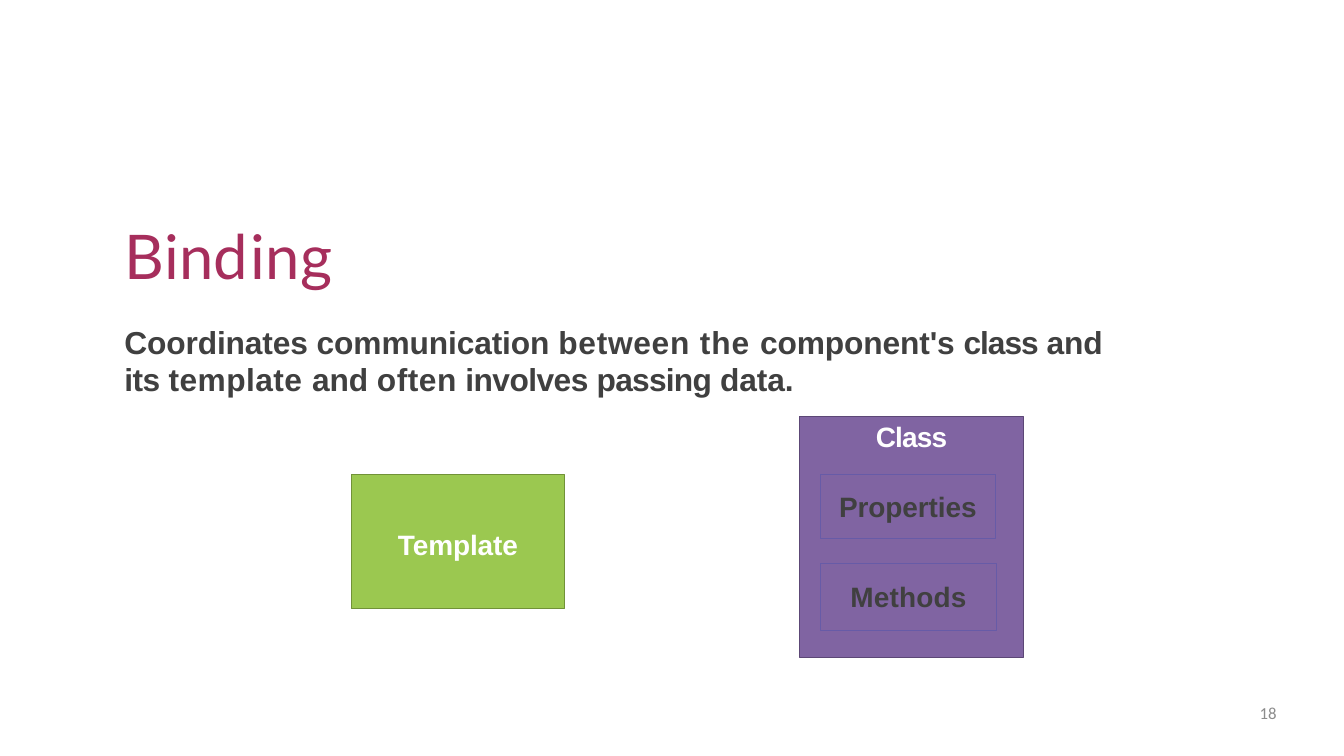
from dataclasses import dataclass

from lxml import etree
from pptx import Presentation
from pptx.dml.color import RGBColor
from pptx.enum.shapes import MSO_SHAPE
from pptx.enum.text import MSO_ANCHOR, MSO_AUTO_SIZE, PP_ALIGN
from pptx.oxml.ns import qn
from pptx.util import Inches, Pt

RECTANGLE = MSO_SHAPE.RECTANGLE
TOP, MIDDLE = MSO_ANCHOR.TOP, MSO_ANCHOR.MIDDLE
LEFT, CENTER, RIGHT = PP_ALIGN.LEFT, PP_ALIGN.CENTER, PP_ALIGN.RIGHT
NO_AUTOFIT = MSO_AUTO_SIZE.NONE


@dataclass(frozen=True)
class Theme:
    """Hold the colours and text styles of the slide."""

    green: str = "9BC850"
    green_edge: str = "719238"
    purple: str = "8064A2"
    purple_edge: str = "5C4776"
    member_edge: str = "675BA7"
    title: tuple = ("Lato", 66, "A62E5C", False)
    body: tuple = ("Arial", 34, "404040", True)
    label: tuple = ("Arial", 30, "FFFFFF", True)
    member: tuple = ("Arial", 30, "404040", True)
    number: tuple = ("Calibri", 18, "8C8C8C", False)


THEME = Theme()

TITLE_RUNS = [("B", -1.4), ("in", 0.2), ("d", 2.5), ("in", 0.2), ("g", 1.8)]
BODY_RUNS = [
    ("Coordinates communication ", -0.1), ("between ", 0.8), ("the ", 1),
    ("component's ", -0.1), ("class ", -1.1), ("and ", -0.1), ("its ", -0.5),
    ("template ", 0.5), ("and ", -0.1), ("often", 0.6), (" involves ", -0.6),
    ("passing ", -0.8), ("data.", -0.1),
]


def apply_format(target, values):
    """Set each attribute named in a dict of format values."""
    for name, value in values.items():
        setattr(target, name, value)


def place(shape, left, top, width, height):
    """Move and size a shape, in inches."""
    lengths = {"left": left, "top": top, "width": width, "height": height}
    apply_format(shape, {name: Inches(length) for name, length in lengths.items()})


def write_text(shape, runs, style, align=LEFT, anchor=TOP, top_inset=0):
    """Fill a shape with one paragraph of letter-spaced runs and return it."""
    frame = shape.text_frame
    apply_format(frame, {
        "word_wrap": True, "auto_size": NO_AUTOFIT, "vertical_anchor": anchor,
        "margin_left": 0, "margin_right": 0, "margin_bottom": 0,
        "margin_top": Inches(top_inset),
    })
    paragraph = frame.paragraphs[0]
    apply_format(paragraph, {"alignment": align, "space_before": Pt(0)})
    font_name, size, color, bold = style
    for text, spacing in runs:
        run = paragraph.add_run()
        run.text = text
        apply_format(run.font, {"name": font_name, "size": Pt(size), "bold": bold})
        run.font.color.rgb = RGBColor.from_string(color)
        run._r.get_or_add_rPr().set("spc", str(round(spacing * 100)))
    return paragraph


def add_title(slide):
    """Write the slide title in its placeholder."""
    title = slide.shapes.title
    place(title, 1.85, 3.24, 10, 1.13)
    write_text(title, TITLE_RUNS, THEME.title, top_inset=0.01)


def add_body(slide):
    """Write the definition in the body placeholder, without a bullet."""
    body = slide.placeholders[1]
    place(body, 1.85, 4.77, 15, 1.15)
    paragraph = write_text(body, BODY_RUNS, THEME.body, top_inset=0.04)
    paragraph.line_spacing = Pt(40.1)
    properties = paragraph._p.get_or_add_pPr()
    properties.set("marL", "0")
    properties.set("indent", "0")
    etree.SubElement(properties, qn("a:buNone"))


def add_box(slide, position, label, style, edge, edge_width, fill=None,
            anchor=MIDDLE, top_inset=0):
    """Add an outlined box with a centred label."""
    text, spacing = label
    box = slide.shapes.add_shape(RECTANGLE, *map(Inches, position))
    box.shadow.inherit = False
    if fill:
        box.fill.solid()
        box.fill.fore_color.rgb = RGBColor.from_string(fill)
    else:
        box.fill.background()
    box.line.color.rgb = RGBColor.from_string(edge)
    box.line.width = Pt(edge_width)
    write_text(box, [(text, spacing)], style, CENTER, anchor, top_inset)


def add_slide_number(slide):
    """Add the page number at the lower right."""
    number = slide.shapes.add_textbox(*map(Inches, (14.4, 10.46, 4.6, 0.56)))
    write_text(number, [("18", 0)], THEME.number, RIGHT)


def main():
    """Build and save the slide."""
    presentation = Presentation()
    presentation.slide_width = Inches(20)
    presentation.slide_height = Inches(11.25)
    slide = presentation.slides.add_slide(presentation.slide_layouts[1])
    add_title(slide)
    add_body(slide)
    add_box(slide, (11.9, 6.2, 3.33, 3.58), ("Class", -0.9), THEME.label,
            THEME.purple_edge, 1, THEME.purple, TOP, 0.04)
    add_box(slide, (5.23, 7.06, 3.17, 2), ("Template", -0.1), THEME.label,
            THEME.green_edge, 1, THEME.green, top_inset=0.08)
    members = [("Properties", -0.1, 7.06, 2.6, 0.95), ("Methods", 0.2, 8.38, 2.62, 1)]
    for text, spacing, top, width, height in members:
        add_box(slide, (12.21, top, width, height), (text, spacing),
                THEME.member, THEME.member_edge, 0.5)
    add_slide_number(slide)
    presentation.save("out.pptx")


if __name__ == "__main__":
    main()
